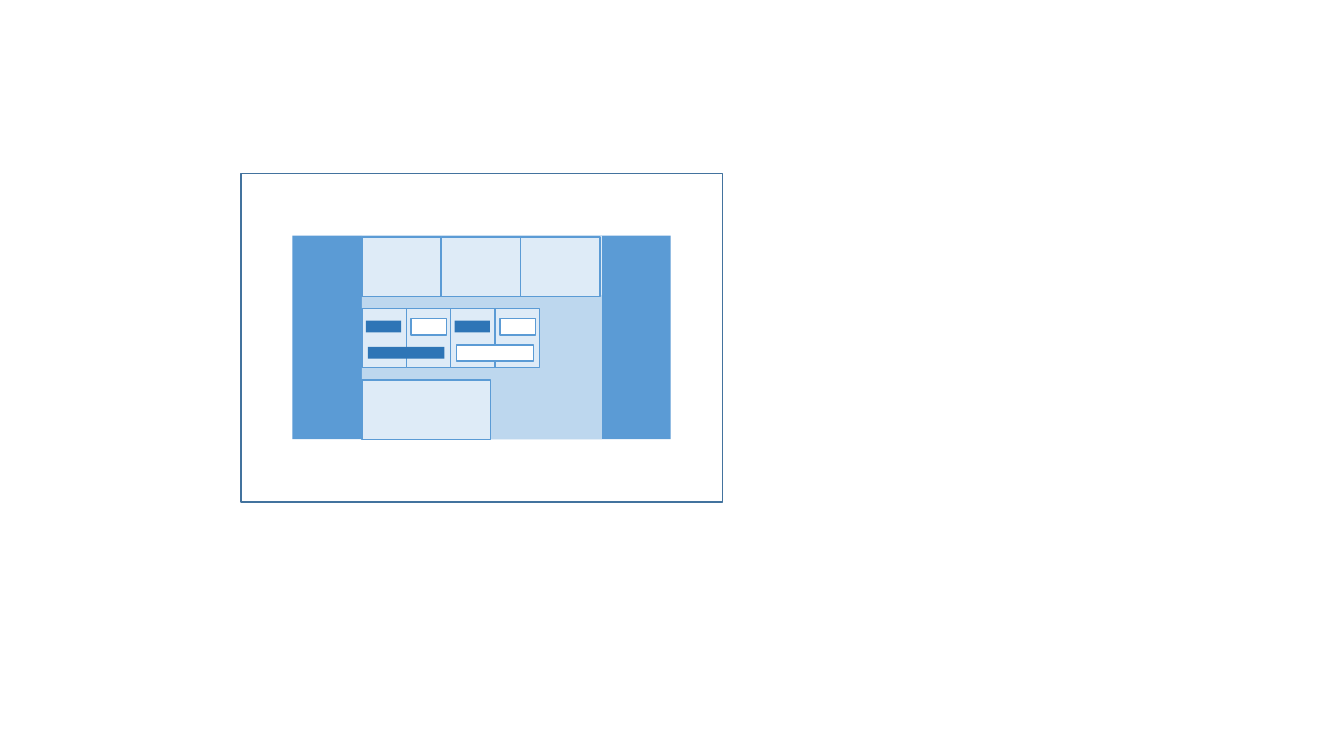
from dataclasses import dataclass
from typing import Optional

from pptx import Presentation
from pptx.dml.color import RGBColor
from pptx.enum.shapes import MSO_SHAPE
from pptx.util import Cm, Pt

WHITE = RGBColor(0xFF, 0xFF, 0xFF)
FRAME_BLUE = RGBColor(0x43, 0x73, 0x9E)
MID_BLUE = RGBColor(0x5B, 0x9B, 0xD5)
LIGHT_BLUE = RGBColor(0xBD, 0xD7, 0xEE)
PALE_BLUE = RGBColor(0xDE, 0xEB, 0xF7)
DARK_BLUE = RGBColor(0x2E, 0x75, 0xB6)

# Lengths in centimetres
CONTENT_LEFT = 9.12
CONTENT_TOP = 5.94
CONTENT_WIDTH = 6.05
CONTENT_HEIGHT = 5.13
ROW_HEIGHT = 1.5
TILE_TOP = 5.97
TILE_WIDTH = 2.0
FORM_TOP = 7.77
CELL_WIDTH = 1.12
SHORT_WIDTH = 0.89
LONG_WIDTH = 1.93
FIELD_HEIGHT = 0.41
LABEL_HEIGHT = 0.3


@dataclass(frozen=True)
class Style:
    fill: RGBColor
    line: Optional[RGBColor] = None


@dataclass(frozen=True)
class Block:
    left: float
    top: float
    width: float
    height: float
    style: Style


FRAME = Style(WHITE, FRAME_BLUE)
BODY = Style(MID_BLUE)
CONTENT = Style(LIGHT_BLUE)
BAND = Style(PALE_BLUE)
PANEL = Style(PALE_BLUE, MID_BLUE)
FIELD = Style(WHITE, MID_BLUE)
LABEL = Style(DARK_BLUE)

LAYOUT = [
    Block(6.07, 4.37, 12.14, 8.28, FRAME),
    Block(7.37, CONTENT_TOP, 9.53, CONTENT_HEIGHT, BODY),
    Block(CONTENT_LEFT, CONTENT_TOP, CONTENT_WIDTH, CONTENT_HEIGHT, CONTENT),
    Block(CONTENT_LEFT, CONTENT_TOP, CONTENT_WIDTH, ROW_HEIGHT, BAND),
    *(Block(CONTENT_LEFT + column * TILE_WIDTH, TILE_TOP, TILE_WIDTH, ROW_HEIGHT, PANEL)
      for column in range(3)),
    Block(CONTENT_LEFT, 9.58, 3.25, ROW_HEIGHT, PANEL),
]

FORM_CELLS = [
    Block(CONTENT_LEFT + column * CELL_WIDTH, FORM_TOP, CELL_WIDTH, ROW_HEIGHT, PANEL)
    for column in range(4)
]

FORM_CONTROLS = [
    *(Block(10.36 + pair * 2 * CELL_WIDTH, 8.03, SHORT_WIDTH, FIELD_HEIGHT, FIELD)
      for pair in range(2)),
    Block(11.51, 8.69, LONG_WIDTH, FIELD_HEIGHT, FIELD),
    *(Block(9.22 + pair * 2 * CELL_WIDTH, 8.08, SHORT_WIDTH, LABEL_HEIGHT, LABEL)
      for pair in range(2)),
    Block(9.27, 8.74, LONG_WIDTH, LABEL_HEIGHT, LABEL),
]


def draw_blocks(shapes, blocks: list[Block]) -> None:
    for block in blocks:
        box = shapes.add_shape(
            MSO_SHAPE.RECTANGLE,
            Cm(block.left), Cm(block.top), Cm(block.width), Cm(block.height),
        )
        box.shadow.inherit = False
        box.fill.solid()
        box.fill.fore_color.rgb = block.style.fill
        if block.style.line is None:
            box.line.fill.background()
        else:
            box.line.color.rgb = block.style.line
            box.line.width = Pt(1)


def main() -> None:
    deck = Presentation()
    deck.slide_width = Cm(33.87)
    deck.slide_height = Cm(19.05)
    page = deck.slides.add_slide(deck.slide_layouts[6])

    draw_blocks(page.shapes, LAYOUT)
    draw_blocks(page.shapes.add_group_shape().shapes, FORM_CELLS)
    draw_blocks(page.shapes, FORM_CONTROLS)

    deck.save("out.pptx")


if __name__ == "__main__":
    main()
